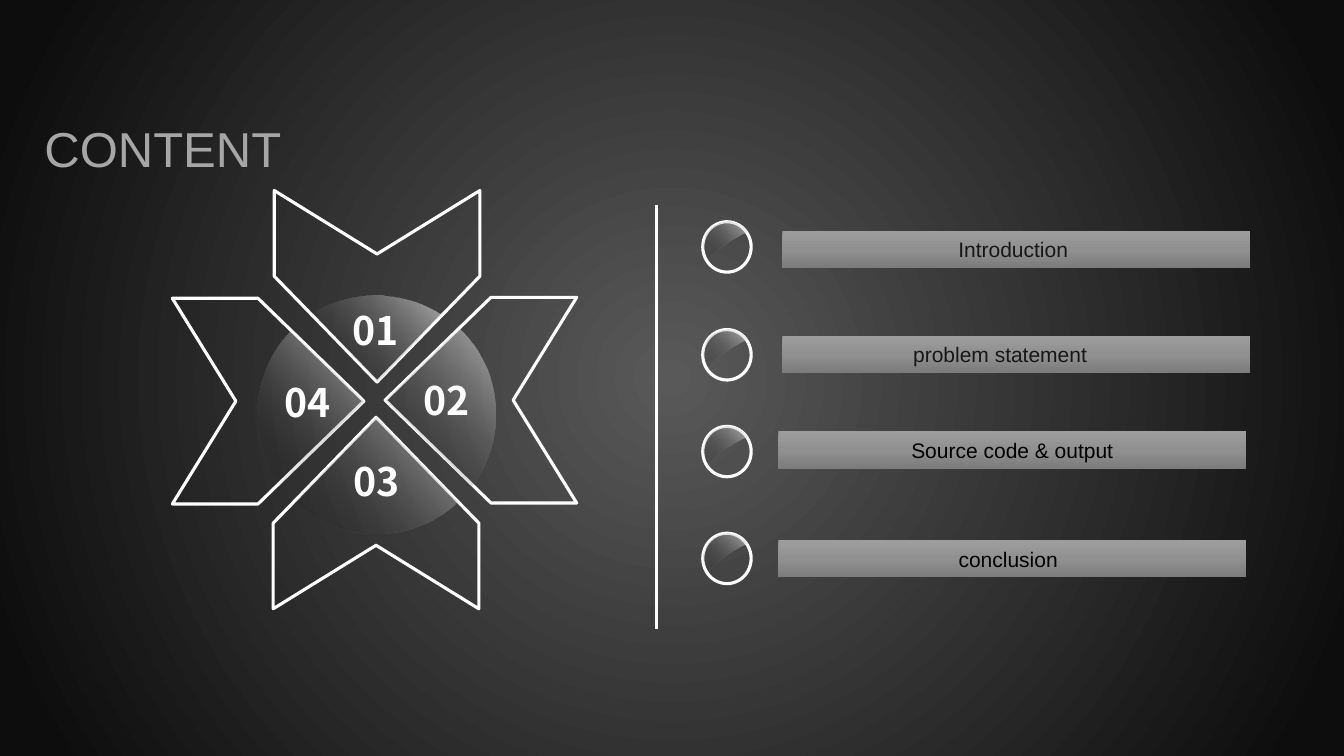
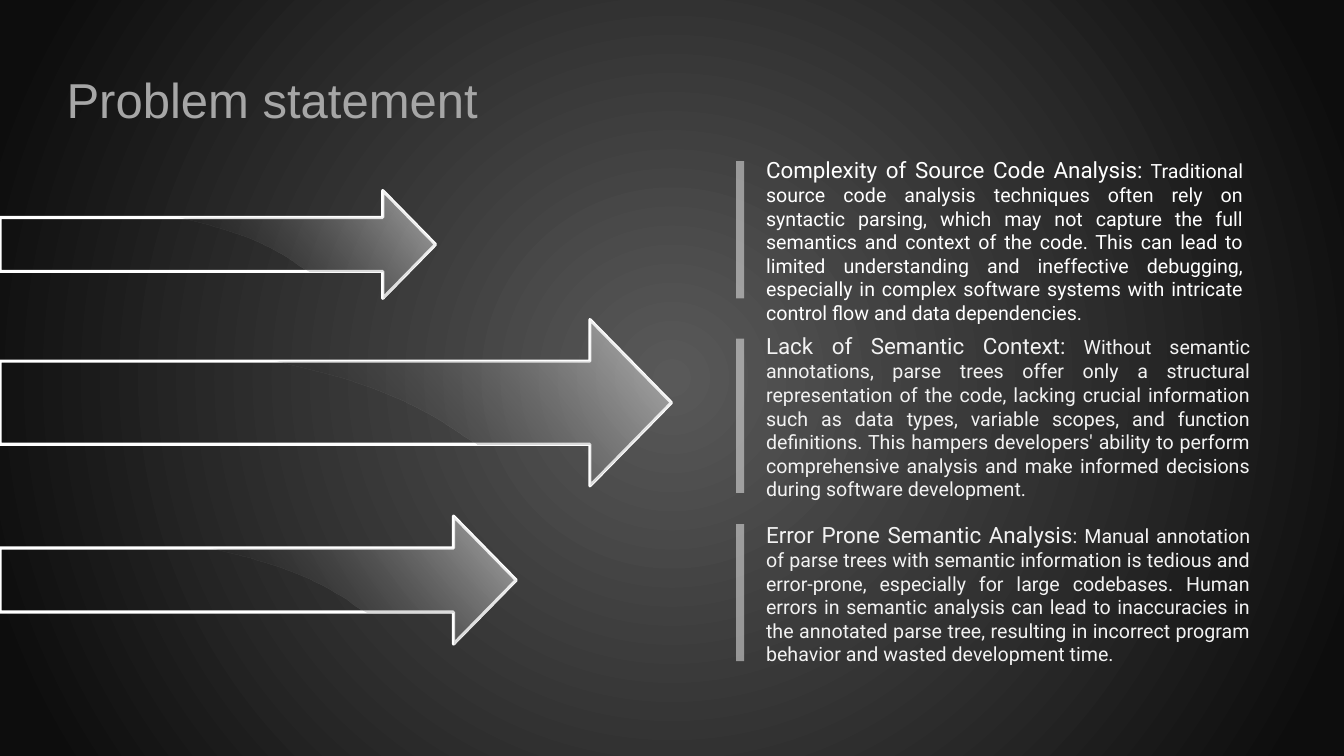
"""Build a contents slide and a problem statement slide on a dark radial backdrop."""
from math import cos, radians, sin

from lxml.etree import SubElement
from pptx import Presentation
from pptx.dml.color import RGBColor
from pptx.enum.shapes import MSO_CONNECTOR as LINK, MSO_SHAPE as SHAPE
from pptx.enum.text import MSO_ANCHOR as ANCHOR, MSO_AUTO_SIZE as FIT, PP_ALIGN as ALIGN
from pptx.oxml import parse_xml
from pptx.oxml.ns import nsdecls, qn
from pptx.util import Inches, Pt

WHITE = RGBColor(0xFF, 0xFF, 0xFF)
BLACK = RGBColor(0, 0, 0)
PALE = RGBColor(0xF2, 0xF2, 0xF2)
GREY = RGBColor(0xA6, 0xA6, 0xA6)
INK = RGBColor(0x18, 0x17, 0x17)
DUSK = RGBColor(0x59, 0x59, 0x59)
NIGHT = RGBColor(0x0D, 0x0D, 0x0D)

BACK = ((0, DUSK, 100), (94, NIGHT, 100), (100, NIGHT, 100))
STEEL = ((0, RGBColor(0x9D, 0x9D, 0x9D), 100), (50, RGBColor(0x90, 0x90, 0x90), 100),
         (100, RGBColor(0x7C, 0x7C, 0x7C), 100))
SHEEN = ((0, BLACK, 0), (100, WHITE, 58))
RADIAL = ('<a:path path="circle"><a:fillToRect l="50000" t="50000" '
          'r="50000" b="50000"/></a:path>')

HUB = (3.73, 4.11)
RADIUS = 1.18
PETAL = ((-1.02, -1.05), (-1.02, -1.9), (0, -1.27), (1.02, -1.9), (1.02, -1.05), (0, 0))
PETALS = (
    ("01", (3.74, 3.79), (-122, -57), (3.4, 2.99)),
    ("02", (3.82, 3.97), (-46, 37), (4.1, 3.68)),
    ("03", (3.73, 4.14), (47, 133), (3.41, 4.49)),
    ("04", (3.61, 3.98), (144, 224), (2.72, 3.7)),
)
TOPICS = (
    ("Introduction", 2.2, 7.76, 2.29, 0.16, INK),
    ("problem statement", 3.27, 7.76, 3.33, 0.42, INK),
    ("Source code & output", 4.23, 7.72, 4.28, 0.1, BLACK),
    ("conclusion", 5.29, 7.72, 5.36, 0.18, BLACK),
)
ARROWS = ((1.89, 4.32, 1.07), (3.17, 6.66, 1.65), (5.12, 5.12, 1.27))
ISSUES = (
    ("Complexity of Source Code Analysis:",
     " Traditional source code analysis techniques often rely on syntactic parsing, which may "
     "not capture the full semantics and context of the code. This can lead to limited "
     "understanding and ineffective debugging, especially in complex software systems with "
     "intricate control flow and data dependencies.",
     WHITE, 1.6, 1.36, 1.5, 4.93, 1.45),
    ("Lack of Semantic Context:",
     " Without semantic annotations, parse trees offer only a structural representation of the "
     "code, lacking crucial information such as data types, variable scopes, and function "
     "definitions. This hampers developers' ability to perform comprehensive analysis and make "
     "informed decisions during software development.",
     PALE, 3.36, 1.53, 3.25, 5, 2.23),
    ("Error Prone Semantic Analysis",
     ": Manual annotation of parse trees with semantic information is tedious and error-prone, "
     "especially for large codebases. Human errors in semantic analysis can lead to "
     "inaccuracies in the annotated parse tree, resulting in incorrect program behavior and "
     "wasted development time.",
     PALE, 5.2, 1.36, 5.12, 5, 1.68),
)


def shade(item, fill, stops, angle=None):
    """Fill a shape or a backdrop with a linear gradient, or a radial one without angle."""
    fill.solid()
    old = next(item.element.iter(qn("a:solidFill")))
    marks = "".join(
        f'<a:gs pos="{spot * 1000}"><a:srgbClr val="{tone}">'
        f'<a:alpha val="{alpha * 1000}"/></a:srgbClr></a:gs>' for spot, tone, alpha in stops)
    way = RADIAL if angle is None else f'<a:lin ang="{angle * 60000}" scaled="0"/>'
    old.getparent().replace(old, parse_xml(
        f'<a:gradFill {nsdecls("a")} rotWithShape="1"><a:gsLst>{marks}</a:gsLst>{way}</a:gradFill>'))


def write(frame, text, size=15, font="Arial", color=WHITE, bold=False, align=ALIGN.LEFT):
    """Append a formatted run to the first paragraph of a frame."""
    para = frame.paragraphs[0]
    para.alignment = align
    run = para.add_run()
    run.text = text
    run.font.size, run.font.name, run.font.bold = Pt(size), font, bold
    run.font.color.rgb = color


def box(slide, x, y, w, h, anchor=ANCHOR.TOP):
    """Add a wrapping text box and return its frame."""
    frame = slide.shapes.add_textbox(*map(Inches, (x, y, w, h))).text_frame
    frame.word_wrap = True
    frame.vertical_anchor = anchor
    return frame


def head(slide, text, x, y, w):
    """Place and format the slide title."""
    title = slide.shapes.title
    title.left, title.top, title.width, title.height = map(Inches, (x, y, w, 0.69))
    frame = title.text_frame
    frame.auto_size = FIT.NONE
    frame.vertical_anchor = ANCHOR.TOP
    write(frame, text, size=35, color=GREY)


def plain(shape):
    """Strip shadow, fill and line from a shape."""
    shape.shadow.inherit = False
    shape.fill.background()
    shape.line.fill.background()
    return shape


def edge(shape):
    """Give a shape or connector the white outline."""
    shape.line.color.rgb = WHITE
    shape.line.width = Pt(2.25)


def form(slide, kind, x, y, w, h):
    """Add a plain preset shape."""
    return plain(slide.shapes.add_shape(kind, *map(Inches, (x, y, w, h))))


def trace(slide, points):
    """Add a plain closed outline through points."""
    first, *rest = [(Inches(x), Inches(y)) for x, y in points]
    pen = slide.shapes.build_freeform(*first)
    pen.add_line_segments(rest, close=True)
    return plain(pen.convert_to_shape())


def gloss(slide, points, angle):
    """Add a translucent highlight."""
    shape = trace(slide, points)
    shade(shape, shape.fill, SHEEN, angle)


def arc(center, radius, start, end, steps=24):
    """Return points on a circle between two angles in degrees."""
    turns = [radians(start + (end - start) * i / steps) for i in range(steps + 1)]
    return [(center[0] + radius * cos(t), center[1] + radius * sin(t)) for t in turns]


def bend(a, b, c, d, steps=16):
    """Return points on a cubic curve."""
    times = [i / steps for i in range(steps + 1)]
    return [tuple((1 - t) ** 3 * p + 3 * t * (1 - t) ** 2 * q + 3 * t * t * (1 - t) * r + t ** 3 * s
                  for p, q, r, s in zip(a, b, c, d)) for t in times]


def petal(slide, turn, label, tip, span, spot):
    """Draw one numbered petal, turned by quarter turns."""
    points = PETAL
    for _ in range(turn):
        points = [(-y, x) for x, y in points]
    edge(trace(slide, [(tip[0] + x, tip[1] + y) for x, y in points]))
    gloss(slide, [tip, *arc(HUB, RADIUS, *span)], 315)
    frame = box(slide, *spot, 0.86, 0.57, ANCHOR.MIDDLE)
    write(frame, label, size=28, font="Noto Sans CJK SC", bold=True)


def topic(slide, text, top, x, y, inset, color):
    """Draw one ring with its labelled bar."""
    edge(form(slide, SHAPE.OVAL, 6.97, top, 0.48, 0.5))
    curve = bend((7.04, top + 0.36), (7.11, top + 0.27), (7.22, top + 0.2), (7.35, top + 0.13))
    gloss(slide, arc((7.22, top + 0.24), 0.24, -35, -210) + curve, 315)
    bar = form(slide, SHAPE.RECTANGLE, x, y, 4.64, 0.37)
    shade(bar, bar.fill, STEEL, 90)
    bar.text_frame.margin_right = Inches(inset)
    write(bar.text_frame, text, color=color, align=ALIGN.CENTER)


def arrow(slide, top, w, h):
    """Draw one glossy arrow from the left slide edge."""
    shape = form(slide, SHAPE.RIGHT_ARROW, 0, top, w, h)
    shape.adjustments[0], shape.adjustments[1] = 0.5, 0.49
    edge(shape)
    neck = 1 - 0.49 * h / w
    curve = bend((0.69, 0.7), (0.64, 0.55), (0.57, 0.41), (0.47, 0.31))
    points = [(neck, 0), (1, 0.5), (neck, 1), (neck, 0.75), (0.71, 0.75),
              *curve, (0.41, 0.25), (neck, 0.25)]
    gloss(slide, [(x * w, top + y * h) for x, y in points], 320)


def issue(slide, lead, text, color, bar, tall, y, w, h):
    """Draw one justified paragraph beside its translucent bar."""
    shape = form(slide, SHAPE.RECTANGLE, 7.3, bar, 0.08, tall)
    shape.fill.solid()
    shape.fill.fore_color.rgb = WHITE
    tone = next(shape.element.iter(qn("a:srgbClr")))
    SubElement(tone, qn("a:alpha")).set("val", "47000")
    frame = box(slide, 7.5, y, w, h)
    for part, size in ((lead, 16), (text, 14)):
        write(frame, part, size=size, font="Roboto", color=color, align=ALIGN.JUSTIFY)


def rule(slide, x, top, end):
    """Draw a vertical dividing line."""
    line = slide.shapes.add_connector(LINK.STRAIGHT, *map(Inches, (x, top, x, end)))
    edge(line)
    SubElement(line.element.spPr, qn("a:effectLst"))


def main():
    """Build and save both slides."""
    deck = Presentation()
    deck.slide_width, deck.slide_height = Inches(13.33), Inches(7.5)
    master = deck.slide_master
    shade(master, master.background.fill, BACK)
    layout = deck.slide_layouts[5]

    content = deck.slides.add_slide(layout)
    head(content, "CONTENT", 0.34, 1.13, 4.85)
    for turn, row in enumerate(PETALS):
        petal(content, turn, *row)
    rule(content, 6.51, 2.03, 6.24)
    for row in TOPICS:
        topic(content, *row)

    problem = deck.slides.add_slide(layout)
    head(problem, "Problem statement", 0.56, 0.64, 12.29)
    for row in ARROWS:
        arrow(problem, *row)
    for row in ISSUES:
        issue(problem, *row)
    deck.save("out.pptx")


if __name__ == "__main__":
    main()
